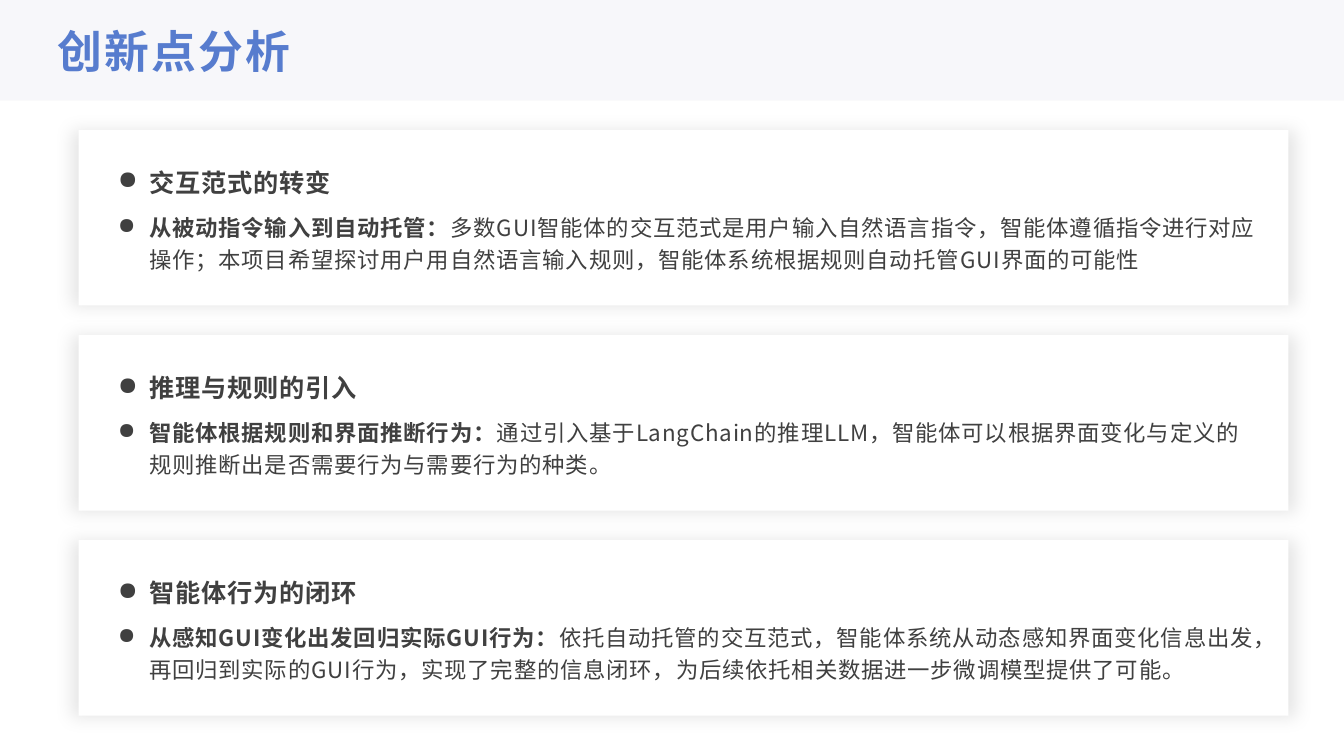
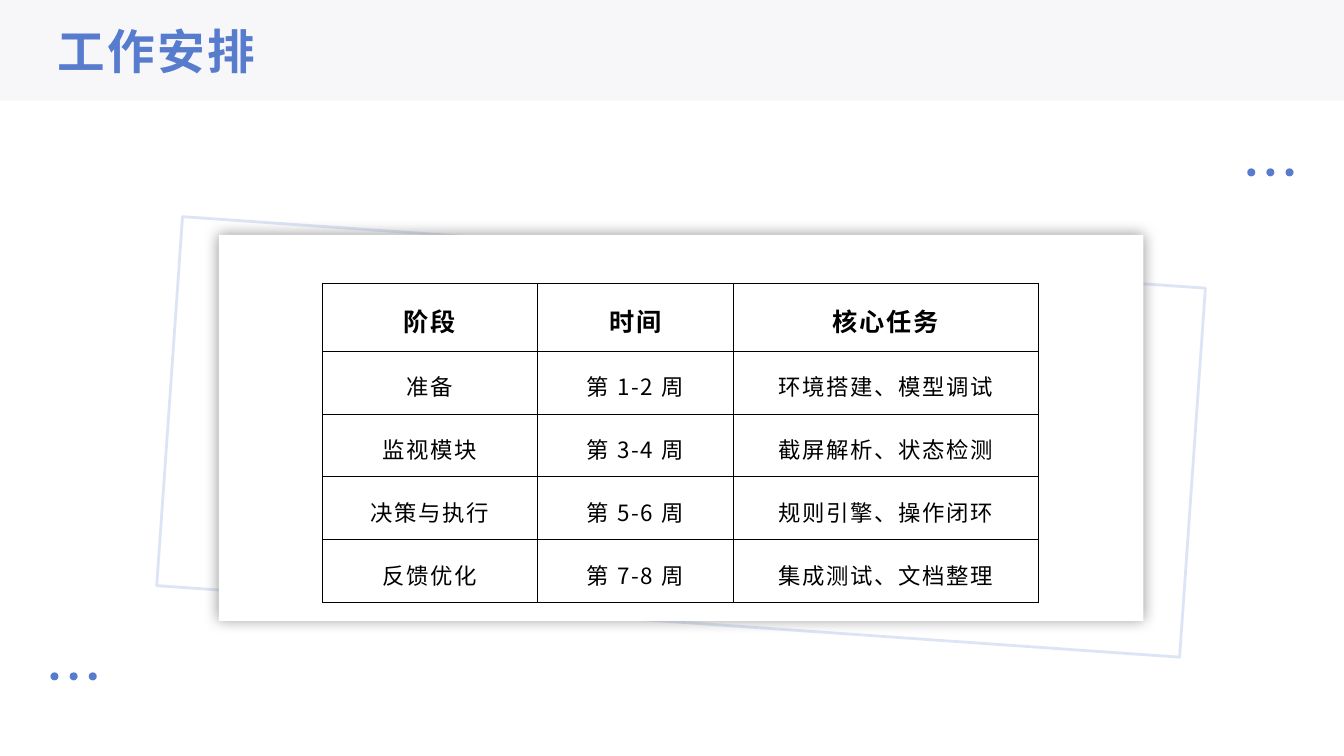
"""Builds two project slides: innovation points and the work schedule."""
import pptx
import pptx.dml.color
import pptx.enum.shapes
import pptx.enum.text
import pptx.oxml.ns
import pptx.util
from lxml import etree

Inches = pptx.util.Inches
Pt = pptx.util.Pt
qn = pptx.oxml.ns.qn
SHAPE = pptx.enum.shapes.MSO_SHAPE
ALIGN = pptx.enum.text.PP_ALIGN
MIDDLE = pptx.enum.text.MSO_ANCHOR.MIDDLE

FONT = "Noto Sans CJK SC"
COLORS = {"accent": "577CCE", "band": "F5F5F8", "card": "FFFFFF", "body": "404040",
          "table": "000000", "soft_shadow": "000000", "deep_shadow": "808080"}

INNOVATIONS = [
    ("交互范式的转变", "从被动指令输入到自动托管：",
     "多数GUI智能体的交互范式是用户输入自然语言指令，智能体遵循指令进行对应操作；"
     "本项目希望探讨用户用自然语言输入规则，智能体系统根据规则自动托管GUI界面的可能性"),
    ("推理与规则的引入", "智能体根据规则和界面推断行为：",
     "通过引入基于LangChain的推理LLM，智能体可以根据界面变化与定义的规则推断出"
     "是否需要行为与需要行为的种类。"),
    ("智能体行为的闭环", "从感知GUI变化出发回归实际GUI行为：",
     "依托自动托管的交互范式，智能体系统从动态感知界面变化信息出发，再回归到实际的GUI行为，"
     "实现了完整的信息闭环，为后续依托相关数据进一步微调模型提供了可能。"),
]
SCHEDULE = [
    ("阶段", "时间", "核心任务"),
    ("准备", "第 1-2 周", "环境搭建、模型调试"),
    ("监视模块", "第 3-4 周", "截屏解析、状态检测"),
    ("决策与执行", "第 5-6 周", "规则引擎、操作闭环"),
    ("反馈优化", "第 7-8 周", "集成测试、文档整理"),
]
COLUMN_WIDTHS = (2.13, 1.94, 3.03)
ROW_HEIGHTS = (0.61, 0.57, 0.57, 0.57, 0.57)
DOT_GROUPS = [(12.37, 1.67), (0.5, 6.67)]


def rgb(color):
    return pptx.dml.color.RGBColor.from_string(COLORS[color])


def add_alpha(color_element, percent):
    etree.SubElement(color_element, qn("a:alpha"), val=str(percent * 1000))


def style_run(run, size, color, bold, spacing):
    run.font.size = Pt(size)
    run.font.bold = bold
    run.font.color.rgb = rgb(color)
    run.font.name = FONT
    properties = run.font._element
    properties.set("spc", str(round(spacing * 100)))
    etree.SubElement(properties, qn("a:ea"), typeface=FONT)


def set_frame(frame):
    frame.word_wrap = True
    frame.auto_size = pptx.enum.text.MSO_AUTO_SIZE.NONE
    frame.vertical_anchor = MIDDLE
    frame.margin_left = frame.margin_right = Inches(0.07)
    frame.margin_top = frame.margin_bottom = Inches(0.03)


def add_filled(shapes, kind, box, color):
    shape = shapes.add_shape(kind, *map(Inches, box))
    shape.shadow.inherit = False
    shape.line.fill.background()
    if color:
        shape.fill.solid()
        shape.fill.fore_color.rgb = rgb(color)
    else:
        shape.fill.background()
    return shape


def add_card(slide, box, shadow_color, opacity, blur, angle, scale):
    card = add_filled(slide.shapes, SHAPE.RECTANGLE, box, "card")
    effects = card._element.spPr.find(qn("a:effectLst"))
    shadow = etree.SubElement(
        effects, qn("a:outerShdw"), blurRad=str(Pt(blur)), dist="0", dir=str(angle * 60000),
        sx=str(scale * 1000), sy=str(scale * 1000), algn="ctr", rotWithShape="0")
    add_alpha(etree.SubElement(shadow, qn("a:srgbClr"), val=COLORS[shadow_color]), opacity)


def add_titled_slide(deck, text, size, spacing):
    slide = deck.slides.add_slide(deck.slide_layouts[5])
    title = slide.shapes.title
    band = add_filled(slide.shapes, SHAPE.RECTANGLE, (0, 0, 13.33, 1), "band")
    add_alpha(band._element.spPr.find(".//" + qn("a:srgbClr")), 70)
    title._element.addprevious(band._element)
    title.left, title.top, title.width, title.height = map(Inches, (0.5, 0.17, 12.33, 0.67))
    title.text_frame.text = text
    set_frame(title.text_frame)
    heading = title.text_frame.paragraphs[0]
    heading.alignment = ALIGN.LEFT
    style_run(heading.runs[0], size, "accent", True, spacing)
    return slide


def format_bullet(paragraph):
    paragraph.line_spacing = 1.2
    paragraph.space_after = Pt(8)
    properties = paragraph._p.get_or_add_pPr()
    properties.set("marL", str(Inches(0.31)))
    properties.set("indent", str(Inches(-0.31)))
    etree.SubElement(properties, qn("a:buChar"), char="●")


def add_innovation(slide, top, heading, lead, detail):
    add_card(slide, (0.78, top, 12, 1.74), "soft_shadow", 10, 12, 0, 101)
    points = slide.shapes.add_textbox(*map(Inches, (1.1, top + 0.25, 11.45, 1.22))).text_frame
    set_frame(points)
    head, body = points.paragraphs[0], points.add_paragraph()
    for paragraph, texts, size in ((head, [heading], 18), (body, [lead, detail], 16)):
        format_bullet(paragraph)
        for index, text in enumerate(texts):
            run = paragraph.add_run()
            run.text = text
            style_run(run, size, "body", index == 0, 0.6)


def set_borders(cell, widths):
    properties = cell._tc.get_or_add_tcPr()
    for index, (side, width) in enumerate(zip("LRTB", widths)):
        line = etree.Element(qn(f"a:ln{side}"), w=str(Pt(width)))
        fill = etree.SubElement(line, qn("a:solidFill"))
        etree.SubElement(fill, qn("a:srgbClr"), val=COLORS["table"])
        properties.insert(index, line)


def add_schedule(slide):
    box = (3.2, 2.81, sum(COLUMN_WIDTHS), sum(ROW_HEIGHTS))
    schedule = slide.shapes.add_table(len(SCHEDULE), len(COLUMN_WIDTHS),
                                      *map(Inches, box)).table
    schedule.first_row = schedule.horz_banding = False
    for column, width in zip(schedule.columns, COLUMN_WIDTHS):
        column.width = Inches(width)
    last = len(COLUMN_WIDTHS) - 1
    for r, texts in enumerate(SCHEDULE):
        schedule.rows[r].height = Inches(ROW_HEIGHTS[r])
        size, spacing = (18, 1.3) if r == 0 else (16, 1.2)
        for c, text in enumerate(texts):
            cell = schedule.cell(r, c)
            cell.fill.background()
            cell.vertical_anchor = MIDDLE
            cell.margin_left = cell.margin_right = Inches(0.19)
            cell.margin_top = cell.margin_bottom = Inches(0.12)
            cell.text_frame.text = text
            paragraph = cell.text_frame.paragraphs[0]
            paragraph.alignment = ALIGN.CENTER
            paragraph.line_spacing = 1.2
            style_run(paragraph.runs[0], size, "table", r == 0, spacing)
            set_borders(cell, (0.75 if c == 0 else 0.5, 0.75 if c == last else 0.5, 0.75, 0.75))


def add_dots(slide, left, top):
    dots = slide.shapes.add_group_shape()
    for index in range(3):
        add_filled(dots.shapes, SHAPE.OVAL, (left + index * 0.19, top, 0.08, 0.08), "accent")


def main():
    deck = pptx.Presentation()
    deck.slide_width, deck.slide_height = Inches(13.33), Inches(7.5)

    innovation = add_titled_slide(deck, "创新点分析", 32, 1.6)
    for index, item in enumerate(INNOVATIONS):
        add_innovation(innovation, 1.29 + index * 2.035, *item)

    work = add_titled_slide(deck, "工作安排", 34, 1.8)
    frame = add_filled(work.shapes, SHAPE.RECTANGLE, (1.67, 2.5, 10.17, 3.67), None)
    frame.rotation = 4
    frame.line.color.rgb = rgb("accent")
    frame.line.width = Pt(2)
    add_alpha(frame._element.spPr.find(".//" + qn("a:srgbClr")), 20)
    add_card(work, (2.17, 2.33, 9.17, 3.83), "deep_shadow", 80, 10, 90, 100)
    for left, top in DOT_GROUPS:
        add_dots(work, left, top)
    add_schedule(work)

    deck.save("out.pptx")


if __name__ == "__main__":
    main()
